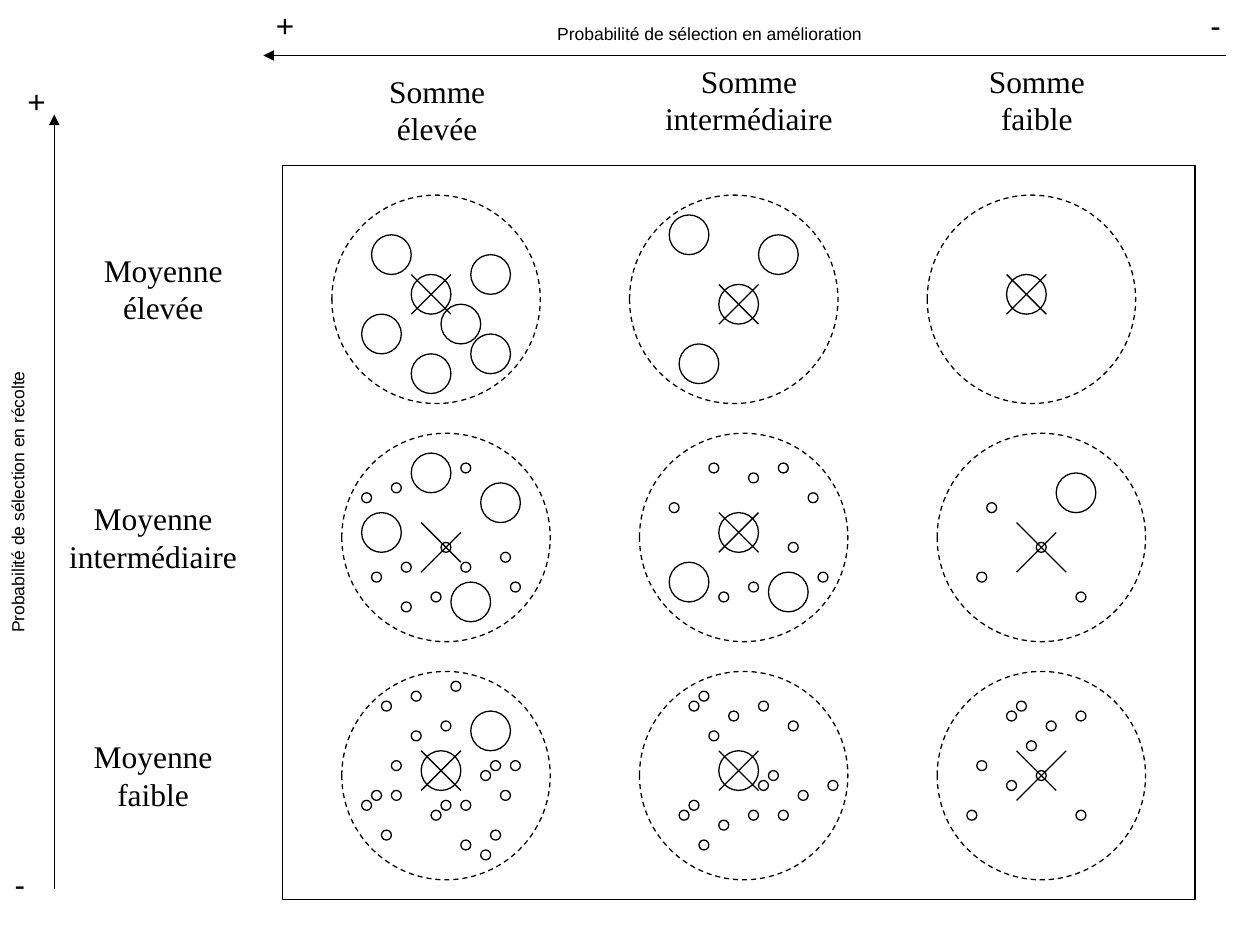
from lxml.etree import SubElement
from pptx import Presentation
from pptx.dml.color import RGBColor
from pptx.enum.dml import MSO_LINE as Dash
from pptx.enum.shapes import MSO_CONNECTOR as Link, MSO_SHAPE as Kind
from pptx.enum.text import MSO_AUTO_SIZE as Fit, PP_ALIGN as Align
from pptx.oxml.ns import qn
from pptx.util import Pt

INK = "000000"
SERIF, SANS = "Times New Roman", "Arial"
STEP = 5.67
LEFT, TOP = 161.3, 94.5
PLOT, TREE, SHOOT = 21, 4, 1
CROSS = [(8, 8, 12, 12), (8, 12, 12, 8)]

PLOTS = [
    [
        dict(big=[(8, 8), (11, 11), (14, 6), (4, 4), (3, 12), (8, 16), (14, 14)],
             small=[], marks=CROSS),
        dict(big=[(9, 9), (4, 2), (13, 4), (5, 15)],
             small=[], marks=[(9, 9, 13, 13), (9, 13, 13, 9)]),
        dict(big=[(8, 8)], small=[], marks=CROSS),
    ],
    [
        dict(big=[(7, 2), (14, 5), (2, 8), (11, 15)],
             small=[(16, 12), (12, 13), (17, 15), (3, 14), (12, 3), (10, 11),
                    (6, 13), (6, 17), (9, 16), (2, 6), (5, 5)],
             marks=[(8, 9, 12, 13), (8, 14, 12, 10)]),
        dict(big=[(8, 8), (3, 13), (13, 14)],
             small=[(11, 4), (14, 3), (15, 11), (17, 6), (3, 7), (7, 3),
                    (8, 16), (11, 15), (18, 14)],
             marks=CROSS),
        dict(big=[(12, 4)],
             small=[(5, 7), (4, 14), (10, 11), (14, 16)],
             marks=[(8, 9, 13, 14), (8, 14, 12, 10)]),
    ],
    [
        dict(big=[(8, 8), (13, 4)],
             small=[(5, 9), (4, 16), (10, 13), (14, 18), (4, 3), (11, 1), (7, 2),
                    (7, 6), (10, 5), (9, 14), (16, 12), (12, 13), (12, 17),
                    (15, 16), (3, 12), (2, 13), (5, 12), (15, 9), (14, 10), (17, 9)],
             marks=CROSS),
        dict(big=[(8, 8)],
             small=[(6, 2), (5, 3), (9, 4), (12, 3), (7, 6), (15, 5), (5, 13),
                    (4, 14), (8, 15), (11, 14), (6, 17), (13, 10), (12, 11),
                    (16, 12), (19, 11), (14, 14)],
             marks=CROSS),
        dict(big=[],
             small=[(8, 3), (7, 4), (11, 5), (14, 4), (9, 7), (4, 9), (3, 14),
                    (7, 11), (10, 10), (14, 14)],
             marks=[(8, 8, 12, 12), (8, 13, 13, 8)]),
    ],
]

HEADS = [
    ("Moyenne élevée", 31, 139.7, 124.6),
    ("Moyenne intermédiaire", 25.2, 281.5, 124.6),
    ("Moyenne faible", 25.2, 417.6, 124.6),
    ("Somme élevée", 201.6, 37.4, 96.5),
    ("Somme intermédiaire", 360, 31.7, 136),
    ("Somme faible", 541.4, 31.7, 102.2),
]
SIGNS = [("-", 0, 491), ("+", 8.6, 43.2), ("+", 150.5, 0), ("-", 683.3, 0)]
AXES = [
    ("Probabilité de sélection en récolte", -92.2, 277.2, 270),
    ("Probabilité de sélection en amélioration", 303.1, 9.4, 0),
]
ARROWS = [(31, 508.3, 31, 65.5), (700.6, 31.7, 150.5, 31.7)]


def tint(code):
    """Turn a hex string into a colour."""
    return RGBColor.from_string(code)


def spot(col, row):
    """Turn grid units inside the frame into points."""
    return LEFT + col * STEP, TOP + row * STEP


def stroke(item):
    """Give a shape or line its thin dark stroke."""
    item.line.color.rgb = tint(INK)
    item.line.width = Pt(0.75)


def shape(slide, kind, col, row, wide, high):
    """Draw an unfilled shape on the grid."""
    x, y = spot(col, row)
    item = slide.shapes.add_shape(kind, Pt(x), Pt(y), Pt(wide * STEP), Pt(high * STEP))
    item.shadow.inherit = False
    item.fill.background()
    stroke(item)
    return item


def line(slide, x1, y1, x2, y2):
    """Draw a straight line between two points."""
    item = slide.shapes.add_connector(Link.STRAIGHT, Pt(x1), Pt(y1), Pt(x2), Pt(y2))
    stroke(item)
    SubElement(item._element.spPr, qn("a:effectLst"))
    return item


def arrow(slide, *ends):
    """Draw a line with a triangle at its far end."""
    item = line(slide, *ends)
    SubElement(item.line._get_or_add_ln(), qn("a:tailEnd"), type="triangle")


def label(slide, text, x, y, wide, high, font, size, turn=0):
    """Place a centred text box."""
    box = slide.shapes.add_textbox(Pt(x), Pt(y), Pt(wide), Pt(high))
    box.rotation = turn
    frame = box.text_frame
    frame.word_wrap = True
    frame.auto_size = Fit.SHAPE_TO_FIT_TEXT
    para = frame.paragraphs[0]
    para.alignment = Align.CENTER
    run = para.add_run()
    run.text = text
    run.font.name = font
    run.font.size = Pt(size)
    run.font.color.rgb = tint(INK)


def plot(slide, col, row, big, small, marks):
    """Draw a dashed plot with its trees, shoots and cross."""
    ring = shape(slide, Kind.OVAL, col, row, PLOT, PLOT)
    ring.line.dash_style = Dash.DASH
    for group, size in ((big, TREE), (small, SHOOT)):
        for x, y in group:
            shape(slide, Kind.OVAL, col + x, row + y, size, size)
    for x1, y1, x2, y2 in marks:
        line(slide, *spot(col + x1, row + y1), *spot(col + x2, row + y2))


def main():
    """Build the slide and save it."""
    deck = Presentation()
    deck.slide_width, deck.slide_height = Pt(720), Pt(540)
    slide = deck.slides.add_slide(deck.slide_layouts[6])
    shape(slide, Kind.RECTANGLE, 0, 0, 92, 74)
    for i, band in enumerate(PLOTS):
        for j, parts in enumerate(band):
            plot(slide, 5 + 30 * j + min(i, 1), 3 + 24 * i, **parts)
    for text, x, y, wide in HEADS:
        label(slide, text, x, y, wide, 50.4, SERIF, 18)
    for text, x, y in SIGNS:
        label(slide, text, x, y, 22.7, 28.8, SANS, 18)
    for text, x, y, turn in AXES:
        label(slide, text, x, y, 204.5, 19.4, SANS, 10, turn)
    for ends in ARROWS:
        arrow(slide, *ends)
    deck.save("out.pptx")


if __name__ == "__main__":
    main()
